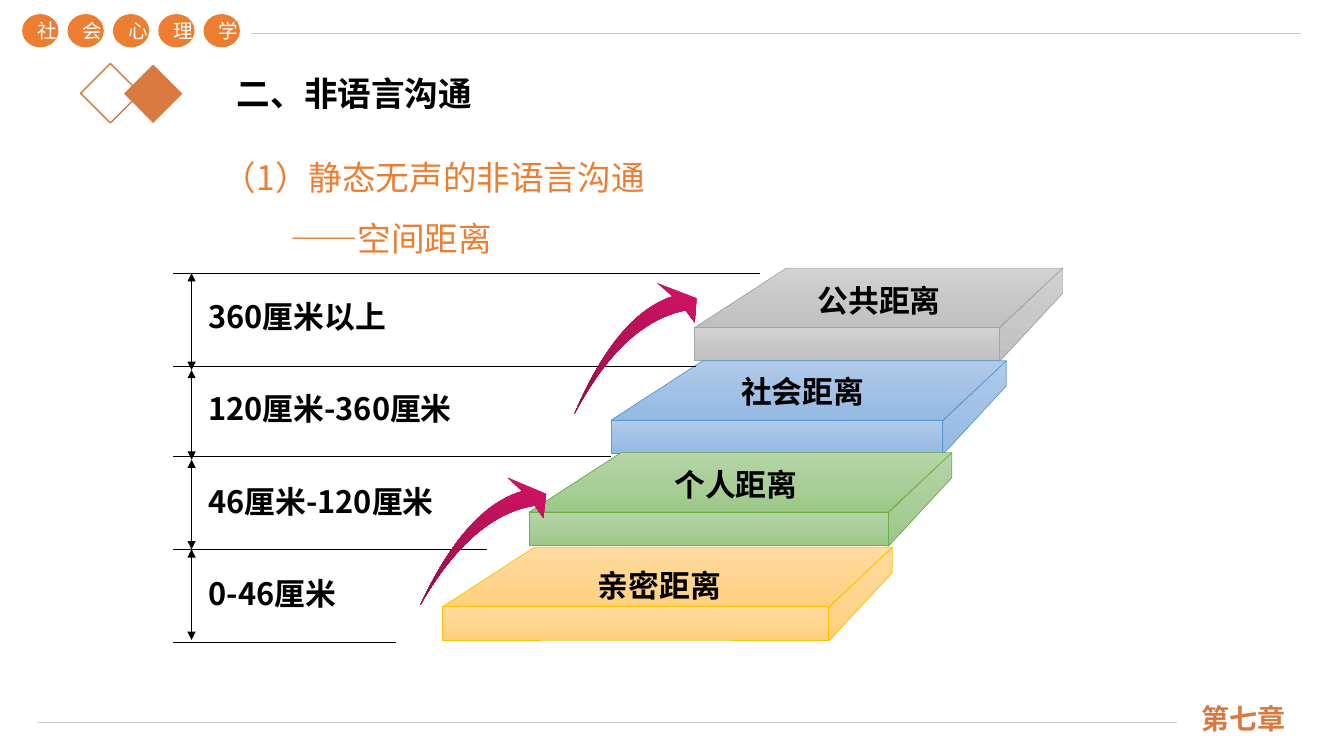
from copy import deepcopy
from math import cos, radians, sin

from lxml import etree
from pptx import Presentation
from pptx.dml.color import RGBColor
from pptx.enum.shapes import MSO_CONNECTOR, MSO_SHAPE
from pptx.enum.text import MSO_ANCHOR, PP_ALIGN
from pptx.oxml.ns import qn
from pptx.util import Inches, Pt

LINE = MSO_CONNECTOR.STRAIGHT
RECT, OVAL, GEM = MSO_SHAPE.RECTANGLE, MSO_SHAPE.OVAL, MSO_SHAPE.DIAMOND
TOP, MID, LOW = MSO_ANCHOR.TOP, MSO_ANCHOR.MIDDLE, MSO_ANCHOR.BOTTOM
LEFT, CENTER = PP_ALIGN.LEFT, PP_ALIGN.CENTER

FACE = "Noto Sans CJK SC"
ORANGE, RUST, GREY = "ED7D31", "D9793F", "C9C9C9"
BLACK, WHITE = "000000", "FFFFFF"
CELL = Inches(0.1)  # square grid: 133.3 columns by 75 rows


def cells(*nums):
    return [round(n * CELL) for n in nums]


def paint(code):
    return RGBColor.from_string(code)


def curve(start, bend, end, steps=24):
    """Points of a quadratic curve, both ends included."""
    ts = [i / steps for i in range(steps + 1)]
    return [tuple((1 - t) ** 2 * a + 2 * t * (1 - t) * b + t * t * c
                  for a, b, c in zip(start, bend, end)) for t in ts]


class Board:
    def __init__(self, deck):
        self.slide = deck.slides.add_slide(deck.slide_layouts[1])
        self.shapes = self.slide.shapes

    def label(self, frame, lines, color=BLACK, align=LEFT, anchor=TOP, wrap=True,
              space=1.0, **look):
        look = {"name": FACE, "size": 22, "bold": True, **look}
        look["size"] = Pt(look["size"])
        frame.word_wrap, frame.vertical_anchor = wrap, anchor
        frame.text = "\n".join(lines)
        for para in frame.paragraphs:
            para.alignment, para.line_spacing = align, space
            para.space_before = Pt(0)
            for run in para.runs:
                for key, val in look.items():
                    setattr(run.font, key, val)
                run.font.color.rgb = paint(color)
                east = etree.SubElement(run.font._element, qn("a:ea"))
                east.set("typeface", look["name"])

    def place(self, holder, box, lines, **look):
        for key, val in zip(("left", "top", "width", "height"), cells(*box)):
            setattr(holder, key, val)
        self.label(holder.text_frame, lines, **look)

    def text(self, box, words, **look):
        frame = self.shapes.add_textbox(*cells(*box)).text_frame
        self.label(frame, [words], **look)

    def style(self, shape, fill=None, edge=None, width=1, angle=270):
        shape.shadow.inherit = False
        if isinstance(fill, (list, tuple)):
            shape.fill.gradient()
            shape.fill.gradient_angle = angle
            stops = shape._element.spPr.find(qn("a:gradFill")).find(qn("a:gsLst"))
            while len(stops) < len(fill):
                stops.append(deepcopy(stops[0]))
            for i, stop in enumerate(shape.fill.gradient_stops):
                stop.position = i / (len(fill) - 1)
                stop.color.rgb = paint(fill[i])
        elif fill:
            shape.fill.solid()
            shape.fill.fore_color.rgb = paint(fill)
        else:
            shape.fill.background()
        if edge:
            shape.line.color.rgb = paint(edge)
            shape.line.width = Pt(width)
        else:
            shape.line.fill.background()
        return shape

    def shape(self, kind, box, **look):
        return self.style(self.shapes.add_shape(kind, *cells(*box)), **look)

    def outline(self, points, **look):
        first, *rest = [cells(*p) for p in points]
        form = self.shapes.build_freeform(*first, scale=1.0)
        form.add_line_segments(rest, close=True)
        return self.style(form.convert_to_shape(), **look)

    def line(self, ends, color=BLACK, width=0.75, arrows=False):
        link = self.shapes.add_connector(LINE, *cells(*ends))
        link.line.color.rgb = paint(color)
        link.line.width = Pt(width)
        props = link._element.spPr
        etree.SubElement(props, qn("a:effectLst"))
        if arrows:
            for tag in ("a:headEnd", "a:tailEnd"):
                etree.SubElement(props.find(qn("a:ln")), qn(tag)).set("type", "triangle")

    def slab(self, x, y, wide, fill, edge):
        """Front, top and right side of a flat block."""
        look = {"fill": fill, "edge": edge, "width": 0.5}
        right, back, front = x + wide, x + wide + 6.3, y + 5.9
        self.outline([(back, y + 2.5), (right, y + 9.3), (right, y + 6), (back, y)], **look)
        self.outline([(right, front), (x, front), (x + 9.1, y), (back, y)], **look)
        self.shape(RECT, (x, front, wide, 3.3), **look)

    def swoosh(self, x, y, turn):
        """Curved arrow growing from a thin tail at x, y."""
        tail = (0, 0)
        outer = curve(tail, (4.2, -9.8), (9.7, -11.6))
        head = [(8.2, -12.9), (12.1, -11.4), (11.9, -9)]
        inner = curve((11, -10.2), (4.8, -9), tail)[:-1]
        c, s = cos(radians(turn)), sin(radians(turn))
        points = [(x + a * c - b * s, y + a * s + b * c) for a, b in outer + head + inner]
        self.outline(points, fill=("D11364", "960E48"), angle=253 - turn)


def main():
    deck = Presentation()
    deck.slide_width, deck.slide_height = Inches(13.33), Inches(7.5)
    board = Board(deck)

    # Heading and subheading
    title, body = board.slide.placeholders
    board.shape(GEM, (12.3, 6.4, 5.8, 5.8), fill=RUST)
    board.shape(GEM, (8, 6.3, 5.9, 5.9), edge=RUST)
    board.place(title, (22.5, 6.7, 25.6, 5), ["二、非语言沟通"], size=24, wrap=False)
    board.place(body, (21.1, 13.1, 51.9, 12.4),
                ["（1）静态无声的非语言沟通", "——空间距离"],
                size=24, bold=False, color=ORANGE, space=1.5)
    for para, pad in zip(body.text_frame.paragraphs, (0, 6.7)):
        props = para._p.get_or_add_pPr()
        props.set("marL", str(cells(pad)[0]))
        props.set("indent", "0")
        props.append(etree.Element(qn("a:buNone")))

    # Course badge, rules and chapter
    board.line((3.8, 71.7, 116.7, 71.7), GREY, 1)
    board.line((24.9, 3.3, 129, 3.3), GREY, 1)
    board.text((118.2, 69.4, 14, 4), "第七章", size=20, color=RUST,
               name="Noto Sans CJK JP", anchor=LOW)
    for i, char in enumerate("社会心理学"):
        dot = board.shape(OVAL, (2.2 + 4.5 * i, 1.4, 3.6, 3.3), fill=ORANGE)
        board.label(dot.text_frame, [char], size=14, bold=False, color=WHITE,
                    align=CENTER, anchor=MID)

    # Stairs: left, top, front width, label left and top, fill, edge
    stairs = [
        ("公共距离", 68.9, 26.6, 30.2, 70.7, 26.2, ("D2D2D2", "C8C8C8", "C0C0C0"), "A5A5A5"),
        ("社会距离", 60.6, 35.8, 32.9, 63.1, 35.3, ("B1CBE9", "A3C1E5", "93B9E4"), "5B9BD5"),
        ("个人距离", 52.5, 44.9, 35.6, 56.5, 44.5, ("B5D5A7", "AACE9A", "9CC987"), "70AD47"),
        ("亲密距离", 43.9, 54.3, 38.3, 48.9, 54.5, ("FFDB9E", "FFD590", "FFD07C"), "FFC000"),
    ]
    for name, x, y, wide, left, top, fill, edge in stairs:
        board.slab(x, y, wide, fill, edge)
        board.text((left, top, 33, 7.1), name, align=CENTER, anchor=MID, wrap=False)

    # Scale with its ranges
    for y, end in ((27.1, 75.4), (36.4, 69), (45.3, 60.6), (54.5, 48.3), (63.7, 39.3)):
        board.line((17.2, y, end, y))
    marks = (27.1, 36.7, 45.6, 54.5, 63.5)
    for y, low in zip(marks, marks[1:]):
        board.line((19, y, 19, low), arrows=True)
    spans = ("360厘米以上", "120厘米-360厘米", "46厘米-120厘米", "0-46厘米")
    for i, span in enumerate(spans):
        board.text((19.7, 27.8 + 9.17 * i, 33, 7.1), span, anchor=MID, wrap=False)

    # Rising arrows
    board.swoosh(57, 41, 0)
    board.swoosh(41.7, 60, 1.9)

    deck.save("out.pptx")


if __name__ == "__main__":
    main()
